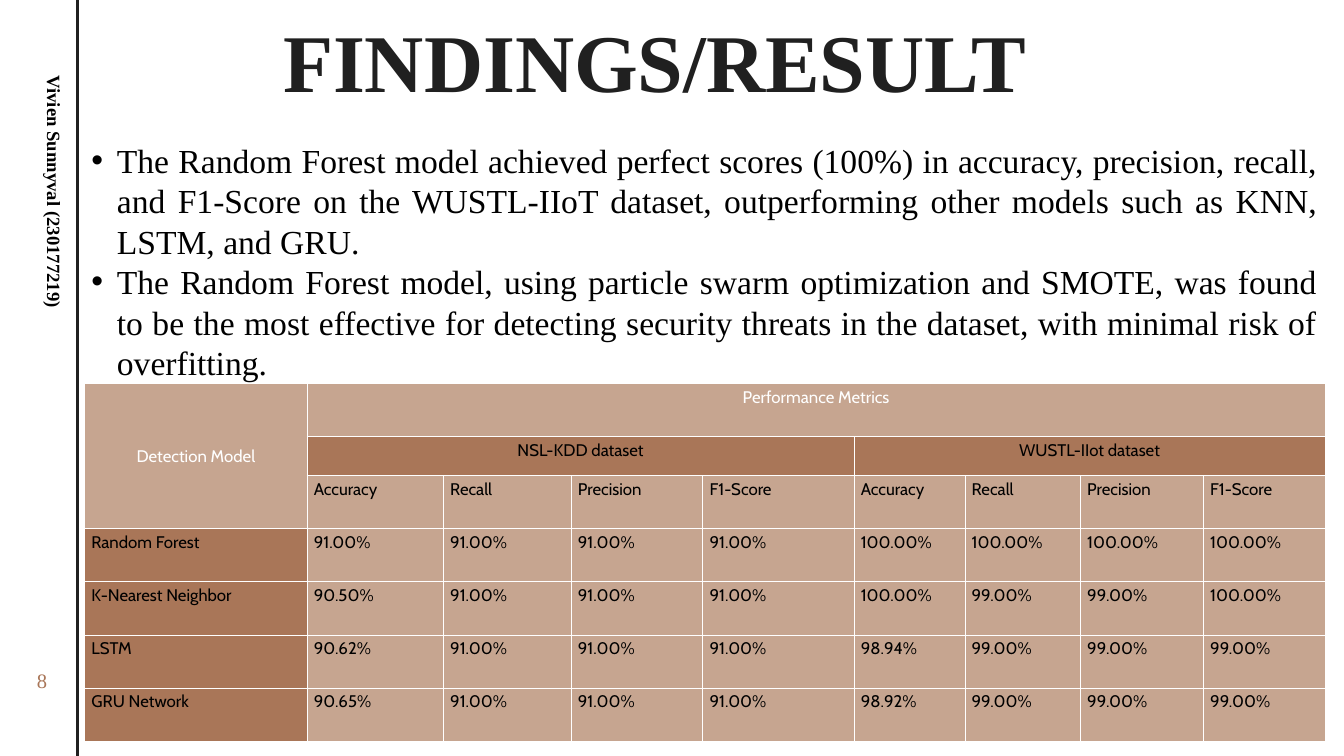
import lxml.etree
import pptx
import pptx.dml.color
import pptx.enum.shapes
import pptx.enum.text
import pptx.oxml.ns
import pptx.util

RGB = pptx.dml.color.RGBColor
BLACK = RGB(0, 0, 0)
DARK = RGB(0x20, 0x20, 0x20)
WHITE = RGB(0xFF, 0xFF, 0xFF)
BROWN = RGB(0xA9, 0x76, 0x58)
TAN = RGB(0xC6, 0xA5, 0x90)

ALIGN = pptx.enum.text.PP_ALIGN
COLS, ROWS = 20, 11.25

POINTS = [
    "The Random Forest model achieved perfect scores (100%) in accuracy, precision, "
    "recall, and F1-Score on the WUSTL-IIoT dataset, outperforming other models such "
    "as KNN, LSTM, and GRU.",
    "The Random Forest model, using particle swarm optimization and SMOTE, was found "
    "to be the most effective for detecting security threats in the dataset, with "
    "minimal risk of overfitting.",
]
METRICS = ["Accuracy", "Recall", "Precision", "F1-Score"]
SCORES = {
    "Random Forest": [91, 91, 91, 91, 100, 100, 100, 100],
    "K-Nearest Neighbor": [90.5, 91, 91, 91, 100, 99, 99, 100],
    "LSTM": [90.62, 91, 91, 91, 98.94, 99, 99, 99],
    "GRU Network": [90.65, 91, 91, 91, 98.92, 99, 99, 99],
}
WIDTHS = [3.31, 2.03, 1.9, 1.96, 2.25, 1.65, 1.72, 1.83, 1.81]
HEIGHTS = [0.79, 0.58] + [0.79] * 5


def add_tag(parent, name, **attrs):
    return lxml.etree.SubElement(parent, pptx.oxml.ns.qn(name), attrs)


class Page:
    """Holds the style and the slide; lengths are columns and rows of the grid."""

    serif = "Times New Roman"
    sans = "Cabin"

    def __init__(self, deck):
        self.slide = deck.slides.add_slide(deck.slide_layouts[6])
        self.shapes = self.slide.shapes
        self.col = deck.slide_width / COLS
        self.row = deck.slide_height / ROWS

    def place(self, left, top, width, height):
        return (round(left * self.col), round(top * self.row),
                round(width * self.col), round(height * self.row))

    def style(self, para, font, size, color, bold=False, align=ALIGN.LEFT):
        para.alignment = align
        for run in para.runs:
            run.font.name = font
            run.font.size = pptx.util.Pt(size)
            run.font.bold = bold
            run.font.color.rgb = color

    def text(self, area, lines, size, color, pitch, bold=False,
             align=ALIGN.LEFT, turn=0, bullet=False):
        box = self.shapes.add_textbox(*self.place(*area))
        box.rotation = turn
        frame = box.text_frame
        frame.word_wrap = True
        frame.margin_left = frame.margin_right = 0
        frame.margin_top = frame.margin_bottom = 0
        frame.text = "\n".join(lines)
        for para in frame.paragraphs:
            para.line_spacing = pptx.util.Pt(pitch)
            if bullet:
                self.bullet(para)
            self.style(para, self.serif, size, color, bold, align)

    def bullet(self, para):
        props = para._p.get_or_add_pPr()
        indent = round(0.38 * self.col)
        props.set("marL", str(indent))
        props.set("indent", str(-indent))
        add_tag(props, "a:buFont", typeface="Arial")
        add_tag(props, "a:buChar", char="•")

    def rule(self, start, end, color, width):
        line = self.shapes.add_connector(
            pptx.enum.shapes.MSO_CONNECTOR.STRAIGHT, *self.place(*start, *end))
        line.line.color.rgb = color
        line.line.width = pptx.util.Pt(width)
        add_tag(line._element.spPr, "a:effectLst")

    def table(self, left, top, widths, heights):
        area = self.place(left, top, sum(widths), sum(heights))
        grid = self.shapes.add_table(len(heights), len(widths), *area).table
        grid.first_row = grid.horz_banding = False
        for col, width in zip(grid.columns, widths):
            col.width = round(width * self.col)
        for row, height in zip(grid.rows, heights):
            row.height = round(height * self.row)
        for cell in grid.iter_cells():
            self.border(cell)
            cell.fill.solid()
            cell.fill.fore_color.rgb = TAN
        return grid

    def border(self, cell):
        props = cell._tc.get_or_add_tcPr()
        for side in ("L", "R", "T", "B"):
            line = add_tag(props, "a:ln" + side, w=str(pptx.util.Pt(1)))
            add_tag(add_tag(line, "a:solidFill"), "a:srgbClr", val=str(WHITE))

    def cell(self, cell, text, fill=TAN, color=BLACK, align=ALIGN.LEFT, last=None):
        """Fill one cell, first merged up to the last cell if there is one."""
        if last is not None:
            cell.merge(last)
        cell.fill.fore_color.rgb = fill
        cell.text_frame.text = text
        self.style(cell.text_frame.paragraphs[0], self.sans, 18, color, align=align)


def add_scores(page):
    grid = page.table(1.26, 5.71, WIDTHS, HEIGHTS)
    at = grid.cell
    mid = ALIGN.CENTER
    page.cell(at(0, 0), "Detection Model", TAN, WHITE, mid, at(2, 0))
    at(0, 0).vertical_anchor = pptx.enum.text.MSO_ANCHOR.MIDDLE
    page.cell(at(0, 1), "Performance Metrics", TAN, WHITE, mid, at(0, 8))
    page.cell(at(1, 1), "NSL-KDD dataset", BROWN, BLACK, mid, at(1, 4))
    page.cell(at(1, 5), "WUSTL-IIot dataset", BROWN, BLACK, mid, at(1, 8))
    for col, name in enumerate(METRICS * 2, 1):
        page.cell(at(2, col), name)
    for row, (model, scores) in enumerate(SCORES.items(), 3):
        page.cell(at(row, 0), model, BROWN)
        for col, score in enumerate(scores, 1):
            page.cell(at(row, col), f"{score:.2f}%")


def main():
    deck = pptx.Presentation()
    deck.slide_width = pptx.util.Inches(20)
    deck.slide_height = pptx.util.Inches(11.25)
    page = Page(deck)
    page.text((2, 0.38, 15.5, 1.26), ["FINDINGS/RESULT"], 87.8, DARK, 89.5,
              bold=True, align=ALIGN.CENTER)
    page.text((1.36, 2.08, 18.25, 3.64), POINTS, 36, BLACK, 43.3,
              align=ALIGN.JUSTIFY, bullet=True)
    page.rule((1.15, 0), (1.15, ROWS), DARK, 3)
    page.text((-1.65, 3.06, 4.62, 0.75), ["Vivien Sunnyval (230177219)"], 20,
              BLACK, 28, bold=True, turn=90)
    page.text((0.3, 9.88, 0.65, 0.43), ["8"], 22, BROWN, 30.8, align=ALIGN.CENTER)
    add_scores(page)
    deck.save("out.pptx")


if __name__ == "__main__":
    main()
